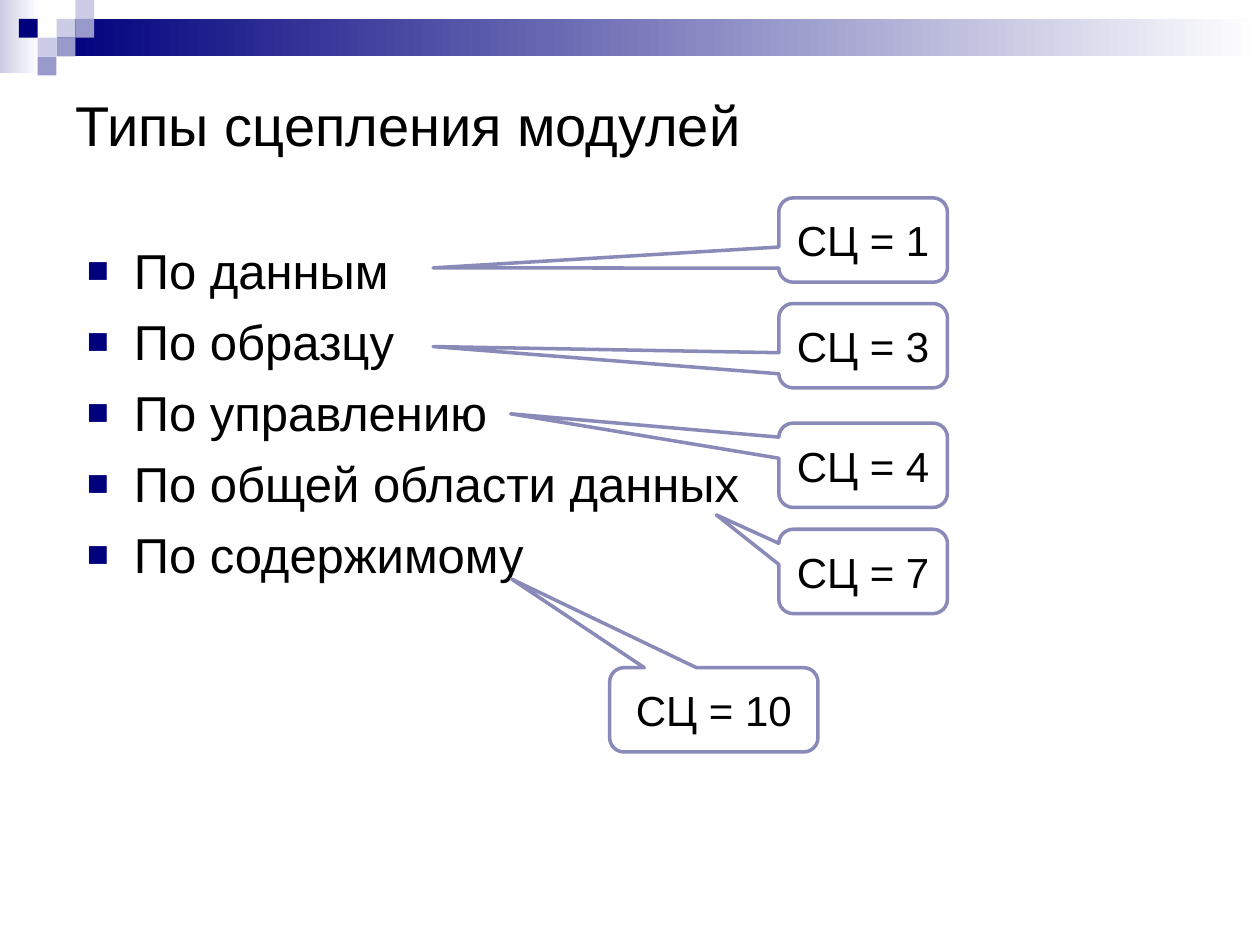
from lxml import etree
from pptx import Presentation, util as u
from pptx.dml.color import RGBColor
from pptx.enum import shapes, text
from pptx.oxml.ns import qn

NAVY = RGBColor(0x00, 0x00, 0x7D)
LILAC = RGBColor(0xCC, 0xCC, 0xE6)
MAUVE = RGBColor(0x99, 0x99, 0xCC)
EDGE = RGBColor(0x8A, 0x8A, 0xB9)
WHITE = RGBColor(0xFF, 0xFF, 0xFF)
BLACK = RGBColor(0x00, 0x00, 0x00)
UNIT = 0.38


def apply(item, form):
    for name, value in form.items():
        setattr(item, name, value)


class Deck:
    font = "Arial"
    left = {"alignment": text.PP_ALIGN.LEFT}
    mid = {"alignment": text.PP_ALIGN.CENTER}
    rows = {"alignment": text.PP_ALIGN.LEFT, "space_before": u.Pt(7)}
    frame = {"word_wrap": True, "vertical_anchor": text.MSO_ANCHOR.MIDDLE}

    def __init__(self):
        self.show = Presentation()
        apply(self.show, {"slide_width": u.Cm(25.4), "slide_height": u.Cm(19.05)})
        self.slide = self.show.slides.add_slide(self.show.slide_layouts[5])

    def label(self, para, words, size, form):
        apply(para, form)
        run = para.add_run()
        run.text = words
        apply(run.font, {"name": self.font, "size": u.Pt(size)})
        run.font.color.rgb = BLACK

    def title(self, words, box):
        item = self.slide.shapes.title
        apply(item, dict(zip(("left", "top", "width", "height"), map(u.Cm, box))))
        apply(item.text_frame, self.frame)
        self.label(item.text_frame.paragraphs[0], words, 32, self.left)

    def shape(self, kind, box):
        item = self.slide.shapes.add_shape(kind, *map(u.Cm, box))
        item.shadow.inherit = False
        return item

    def block(self, box, color, fade=False):
        item = self.shape(shapes.MSO_SHAPE.RECTANGLE, box)
        item.line.fill.background()
        if fade:
            item.fill.gradient()
            item.fill.gradient_angle = 0
            for stop, tone in zip(item.fill.gradient_stops, (color, WHITE)):
                stop.color.rgb = tone
        else:
            item.fill.solid()
            item.fill.fore_color.rgb = color

    def bullets(self, lines, box):
        frame = self.slide.shapes.add_textbox(*map(u.Cm, box)).text_frame
        frame.word_wrap = True
        for i, words in enumerate(lines):
            para = frame.add_paragraph() if i else frame.paragraphs[0]
            self.label(para, words, 28, self.rows)
            self.mark(para)

    def mark(self, para):
        props = para._p.get_or_add_pPr()
        props.set("marL", str(u.Cm(0.95)))
        props.set("indent", str(-u.Cm(0.95)))
        tint = etree.SubElement(props, qn("a:buClr"))
        etree.SubElement(tint, qn("a:srgbClr"), val=str(NAVY))
        etree.SubElement(props, qn("a:buSzPct"), val="75000")
        etree.SubElement(props, qn("a:buFont"), typeface=self.font)
        etree.SubElement(props, qn("a:buChar"), char="■")

    def callout(self, words, box, tip):
        item = self.shape(shapes.MSO_SHAPE.ROUNDED_RECTANGULAR_CALLOUT, box)
        for i, value in enumerate((*tip, 0.17)):
            item.adjustments[i] = value
        item.fill.solid()
        item.fill.fore_color.rgb = WHITE
        item.line.color.rgb = EDGE
        item.line.width = u.Pt(2)
        apply(item.text_frame, self.frame)
        self.label(item.text_frame.paragraphs[0], words, 24, self.mid)


def main():
    deck = Deck()
    deck.block((0, 0, 0.79, 1.47), LILAC, True)
    deck.block((3 * UNIT, UNIT, 24.26, 0.76), NAVY, True)
    tiles = [(3, 1, LILAC), (4, 0, LILAC), (4, 1, MAUVE), (2, 2, LILAC),
             (1, 1, NAVY), (3, 2, MAUVE), (2, 3, MAUVE)]
    for col, row, color in tiles:
        deck.block((col * UNIT, row * UNIT, UNIT, UNIT), color)

    deck.title("Типы сцепления модулей", (1.27, 1.27, 22.86, 2.46))
    deck.bullets(["По данным", "По образцу", "По управлению",
                  "По общей области данных", "По содержимому"],
                 (1.5, 4.72, 22.86, 14))

    notes = [(1, 15.7, 3.99, 3.4, (-2.55, 0.33)),
             (3, 15.7, 6.12, 3.4, (-2.55, 0.01)),
             (4, 15.7, 8.53, 3.4, (-2.09, -0.61)),
             (7, 15.7, 10.67, 3.4, (-0.87, -0.67)),
             (10, 12.29, 13.46, 4.2, (-0.97, -1.55))]
    for rank, x, y, width, tip in notes:
        deck.callout(f"СЦ = {rank}", (x, y, width, 1.7), tip)
    deck.show.save("out.pptx")


if __name__ == "__main__":
    main()
